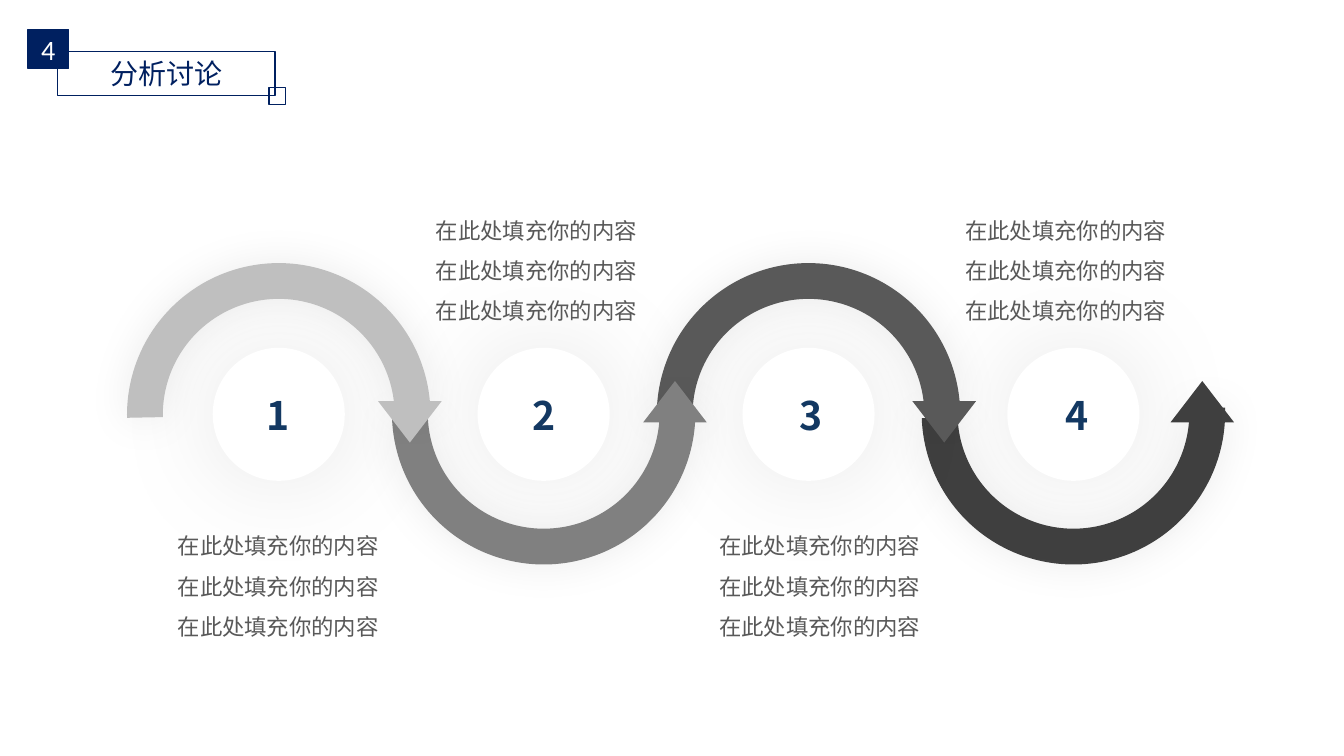
from lxml.etree import SubElement
from pptx import Presentation
from pptx.dml.color import RGBColor
from pptx.enum.shapes import MSO_SHAPE
from pptx.enum.text import MSO_ANCHOR, MSO_AUTO_SIZE, PP_ALIGN
from pptx.oxml.ns import qn
from pptx.util import Inches, Pt

# Content
SECTION_NUMBER, SECTION_TITLE = "4", "分析讨论"
CAPTION = ["在此处填充你的内容"] * 3
STAGES = [  # number, arc colour, arrowhead left, caption left
    ("1", "BFBFBF", 3.75, 1.65),
    ("2", "808080", 6.38, 4.21),
    ("3", "595959", 9.05, 7.02),
    ("4", "404040", 11.61, 9.46),
]
CJK_FONT, NAVY, WHITE = "Noto Sans CJK SC", "002060", "FFFFFF"
NUMBER_COLOR, CAPTION_COLOR = "133862", "595959"

# Layout in inches
STEP = 2.627
ARC_LEFT, ARC_SIZE = 1.26, 3.01
CIRCLE_LEFT, CIRCLE_TOP = 2.11, 3.45
NUMBER_LEFT, NUMBER_STEP, NUMBER_TOP = 1.65, 2.64, 3.83
TEXT_WIDTH = 2.22

presentation = Presentation()
presentation.slide_width = Inches(13.33)
presentation.slide_height = Inches(7.5)
slide = presentation.slides.add_slide(presentation.slide_layouts[6])


def color(value):
    return RGBColor.from_string(value)


def add_shape(kind, left, top, width, height, fill=None, line=None):
    shape = slide.shapes.add_shape(
        kind, Inches(left), Inches(top), Inches(width), Inches(height))
    shape.shadow.inherit = False
    if fill:
        shape.fill.solid()
        shape.fill.fore_color.rgb = color(fill)
    else:
        shape.fill.background()
    if line:
        shape.line.color.rgb = color(line)
        shape.line.width = Pt(1)
    else:
        shape.line.fill.background()
    return shape


def add_glow(shape, blur, opacity):
    effects = shape._element.spPr.find(qn("a:effectLst"))
    shadow = SubElement(effects, qn("a:outerShdw"), blurRad=str(Pt(blur)),
                        dist="0", algn="ctr", rotWithShape="0")
    black = SubElement(shadow, qn("a:srgbClr"), val="000000")
    SubElement(black, qn("a:alpha"), val=str(opacity * 1000))


def write(shape, text, size, text_color, font=CJK_FONT, bold=False, spacing=None):
    shape.text_frame.text = text
    for paragraph in shape.text_frame.paragraphs:
        paragraph.alignment = PP_ALIGN.CENTER
        if spacing:
            paragraph.line_spacing = spacing
        for run in paragraph.runs:
            run.font.size = Pt(size)
            run.font.bold = bold
            run.font.color.rgb = color(text_color)
            run.font.name = font
            SubElement(run._r.rPr, qn("a:ea"), typeface=font)


def add_text(left, top, height, text, size, text_color, wrap=True, **style):
    box = slide.shapes.add_textbox(
        Inches(left), Inches(top), Inches(TEXT_WIDTH), Inches(height))
    box.text_frame.word_wrap = wrap
    box.text_frame.auto_size = MSO_AUTO_SIZE.SHAPE_TO_FIT_TEXT
    write(box, text, size, text_color, **style)


def add_arrow(index):
    _, fill, head_left, _ = STAGES[index]
    upper = index % 2 == 0
    arc = add_shape(MSO_SHAPE.BLOCK_ARC, ARC_LEFT + index * STEP,
                    2.61 if upper else 2.59, ARC_SIZE, ARC_SIZE, fill)
    for position, value in enumerate((105.211, 213.155, 0.118)):
        arc.adjustments[position] = value
    arc.rotation = 3.5 if upper else 182.7
    add_glow(arc, 31, 7)
    head = add_shape(MSO_SHAPE.ISOSCELES_TRIANGLE, head_left,
                     3.98 if upper else 3.78, 0.63, 0.41, fill)
    head.rotation = 180 if upper else 0


# Wave: the last arrow lies behind the circles, the others in front
add_arrow(3)
for index in range(len(STAGES)):
    circle = add_shape(MSO_SHAPE.OVAL, CIRCLE_LEFT + index * STEP, CIRCLE_TOP,
                       1.31, 1.32, WHITE)
    add_glow(circle, 78, 10)
for index in (2, 1, 0):
    add_arrow(index)

# Numbers and captions
for index, (number, _, _, caption_left) in enumerate(STAGES):
    add_text(NUMBER_LEFT + index * NUMBER_STEP, NUMBER_TOP, 0.57,
             number, 28, NUMBER_COLOR, bold=True)
    add_text(caption_left, 5.1 if index % 2 == 0 else 1.97, 1.31,
             "\n".join(CAPTION), 16, CAPTION_COLOR, wrap=False, spacing=1.5)

# Section header
title = add_shape(MSO_SHAPE.RECTANGLE, 0.57, 0.51, 2.16, 0.44, line=NAVY)
write(title, SECTION_TITLE, 20, NAVY)
badge = add_shape(MSO_SHAPE.RECTANGLE, 0.28, 0.29, 0.4, 0.39, NAVY, NAVY)
write(badge, SECTION_NUMBER, 20, WHITE, font="Calibri")
for header_shape in (title, badge):
    header_shape.text_frame.vertical_anchor = MSO_ANCHOR.MIDDLE
add_shape(MSO_SHAPE.RECTANGLE, 2.67, 0.87, 0.16, 0.17, line=NAVY)

presentation.save("out.pptx")
